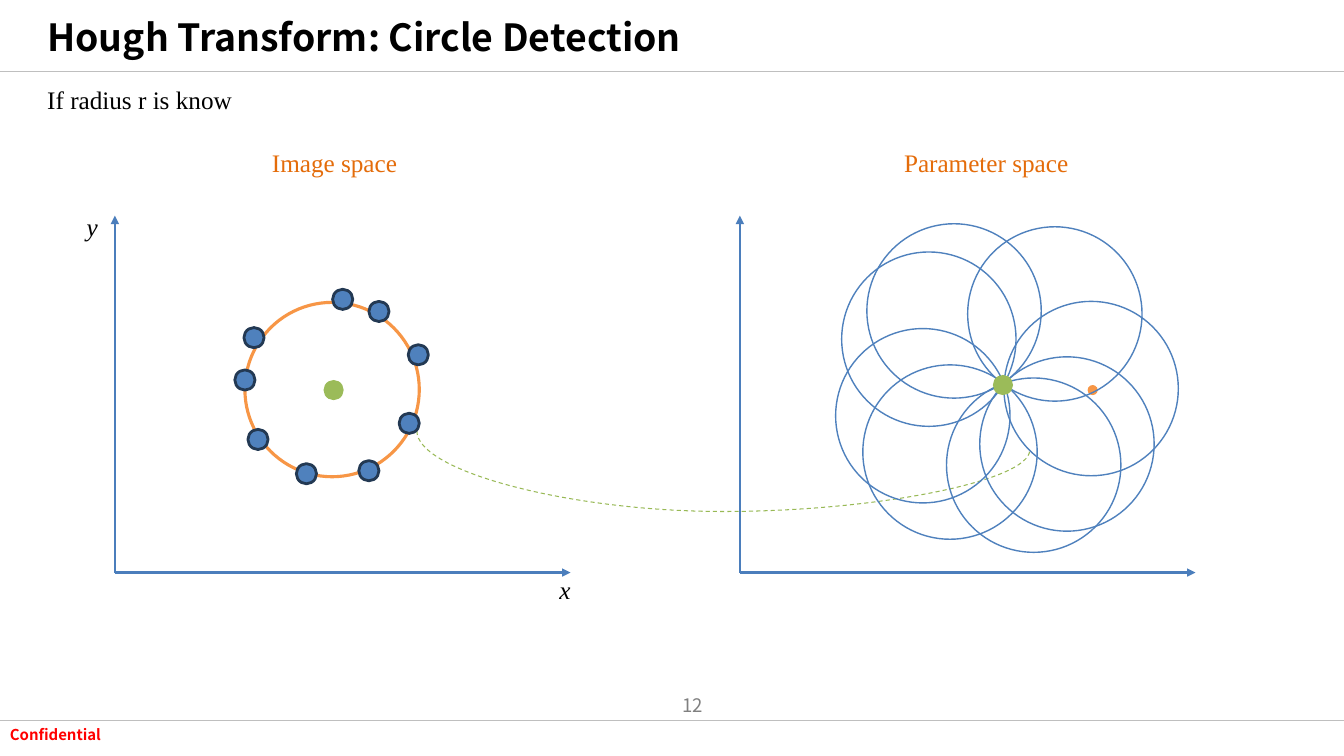
from dataclasses import dataclass
from typing import Optional

from pptx import Presentation
from pptx.dml.color import RGBColor
from pptx.enum.dml import MSO_LINE_DASH_STYLE as Dash
from pptx.enum.shapes import MSO_CONNECTOR_TYPE as Link, MSO_SHAPE as Preset
from pptx.enum.text import MSO_ANCHOR as Anchor, PP_ALIGN as Align
from pptx.oxml.ns import qn
from pptx.oxml.xmlchemy import OxmlElement
from pptx.util import Inches, Pt

COLUMNS, ROWS = 133.33, 75
CELL = Inches(0.1)

BLACK = RGBColor(0x00, 0x00, 0x00)
RED = RGBColor(0xFF, 0x00, 0x00)
GRAY = RGBColor(0x80, 0x80, 0x80)
RULE_GRAY = RGBColor(0xBF, 0xBF, 0xBF)
HEADING_ORANGE = RGBColor(0xE4, 0x6C, 0x0A)
ORANGE = RGBColor(0xF7, 0x96, 0x46)
BLUE = RGBColor(0x4F, 0x81, 0xBD)
AXIS_BLUE = RGBColor(0x4B, 0x7E, 0xBC)
NAVY = RGBColor(0x23, 0x39, 0x53)
GREEN = RGBColor(0x9B, 0xBB, 0x59)
CURVE_GREEN = RGBColor(0x98, 0xB9, 0x55)

SANS, SERIF = "Noto Sans CJK KR", "Times New Roman"
CIRCLE_SIZE, DOT_SIZE, VOTE_SIZE = 17.3, 2, 1


@dataclass(frozen=True)
class Label:
    text: str
    column: float
    row: float
    width: float
    height: float = 4
    size: float = 18
    font: str = SERIF
    color: RGBColor = BLACK
    bold: bool = False
    italic: bool = False
    wrap: bool = False
    anchor: Anchor = Anchor.TOP
    align: Align = Align.LEFT


@dataclass(frozen=True)
class Disc:
    column: float
    row: float
    size: float
    fill: Optional[RGBColor] = None
    line: Optional[RGBColor] = None
    weight: float = 1


@dataclass(frozen=True)
class Segment:
    start: tuple[float, float]
    end: tuple[float, float]
    color: RGBColor
    weight: float = 1
    arrow: bool = False


LABELS = [
    Label("Confidential", 0, 71.5, 22.9, 2.8, 10.7, SANS, RED, bold=True, wrap=True),
    Label("12", 63.2, 67.9, 7.5, size=13.3, font=SANS, color=GRAY, wrap=True,
          anchor=Anchor.MIDDLE, align=Align.RIGHT),
    Label("Hough Transform: Circle Detection", 3.7, 1.6, 81, size=26.7, font=SANS,
          bold=True, wrap=True, anchor=Anchor.MIDDLE),
    Label("If radius r is know", 3.7, 7.9, 20.5),
    Label("Image space", 26, 14.1, 14.6, color=HEADING_ORANGE),
    Label("Parameter space", 88.7, 14.1, 18.5, color=HEADING_ORANGE),
    Label("x", 54.5, 56.5, 3.1, italic=True),
    Label("y", 7.6, 20.5, 3.1, italic=True),
]

RULES = [
    Segment((-1, 7.1), (133.9, 7.1), RULE_GRAY),
    Segment((0, 71.5), (COLUMNS, 71.5), RULE_GRAY),
]
AXIS_ORIGINS = [(11.4, 56.8), (73.4, 56.8)]
AXIS_REACHES = [(0, -35.4), (45.2, 0)]
AXES = [
    Segment((x, y), (x + across, y + down), AXIS_BLUE, 1.5, arrow=True)
    for x, y in AXIS_ORIGINS
    for across, down in AXIS_REACHES
]

EDGE_POINTS = [
    (39.6, 41), (40.5, 34.2), (36.6, 29.9), (33, 28.7), (24.2, 32.5),
    (23.3, 36.7), (24.6, 42.6), (29.4, 46), (35.6, 45.7),
]
VOTE_CIRCLES = [
    (99.6, 29.9), (96, 22.5), (86, 22.2), (83.5, 25),
    (82.9, 32.6), (85.6, 36.2), (93.9, 37.5), (97.2, 35.4),
]
IMAGE_CIRCLE = Disc(24.3, 30, CIRCLE_SIZE, line=ORANGE, weight=2.25)
DISCS = [
    *(Disc(x, y, DOT_SIZE, BLUE, NAVY, 2) for x, y in EDGE_POINTS),
    Disc(107.9, 38.2, VOTE_SIZE, ORANGE),
    *(Disc(x, y, CIRCLE_SIZE, line=BLUE) for x, y in VOTE_CIRCLES),
    Disc(32.1, 37.7, DOT_SIZE, GREEN),
    Disc(98.5, 37.2, DOT_SIZE, GREEN),
]


def cells(count: float) -> int:
    return round(count * CELL)


def add_label(page, label: Label) -> None:
    box = page.shapes.add_textbox(
        *map(cells, (label.column, label.row, label.width, label.height)))
    frame = box.text_frame
    frame.word_wrap = label.wrap
    frame.vertical_anchor = label.anchor
    paragraph = frame.paragraphs[0]
    paragraph.text = label.text
    paragraph.alignment = label.align
    font = paragraph.font
    font.name, font.size = label.font, Pt(label.size)
    font.bold, font.italic = label.bold, label.italic
    font.color.rgb = label.color


def add_disc(page, disc: Disc) -> None:
    shape = page.shapes.add_shape(
        Preset.OVAL, *map(cells, (disc.column, disc.row, disc.size, disc.size)))
    shape.shadow.inherit = False
    if disc.fill is None:
        shape.fill.background()
    else:
        shape.fill.solid()
        shape.fill.fore_color.rgb = disc.fill
    if disc.line is None:
        shape.line.fill.background()
    else:
        shape.line.color.rgb = disc.line
        shape.line.width = Pt(disc.weight)


def add_segment(page, segment: Segment, kind: Link = Link.STRAIGHT):
    connector = page.shapes.add_connector(
        kind, *map(cells, (*segment.start, *segment.end)))
    connector.line.color.rgb = segment.color
    connector.line.width = Pt(segment.weight)
    properties = connector._element.spPr
    properties.append(OxmlElement("a:effectLst"))
    if segment.arrow:
        tail = OxmlElement("a:tailEnd")
        tail.set("type", "triangle")
        properties.find(qn("a:ln")).append(tail)
    return connector


def add_vote_curve(page) -> None:
    curve = add_segment(
        page, Segment((72.7, 13.3), (70.8, 74.1), CURVE_GREEN, 0.75), Link.CURVE)
    curve.line.dash_style = Dash.DASH
    properties = curve._element.spPr
    properties.find(qn("a:xfrm")).set("rot", str(270 * 60000))
    guide = OxmlElement("a:gd")
    guide.set("name", "adj1")
    guide.set("fmla", "val 420300")
    properties.find(qn("a:prstGeom")).get_or_add_avLst().append(guide)


def main() -> None:
    deck = Presentation()
    deck.slide_width, deck.slide_height = cells(COLUMNS), cells(ROWS)
    page = deck.slides.add_slide(deck.slide_layouts[6])
    for rule in RULES:
        add_segment(page, rule)
    add_disc(page, IMAGE_CIRCLE)
    for label in LABELS:
        add_label(page, label)
    for axis in AXES:
        add_segment(page, axis)
    add_vote_curve(page)
    for disc in DISCS:
        add_disc(page, disc)
    deck.save("out.pptx")


if __name__ == "__main__":
    main()
